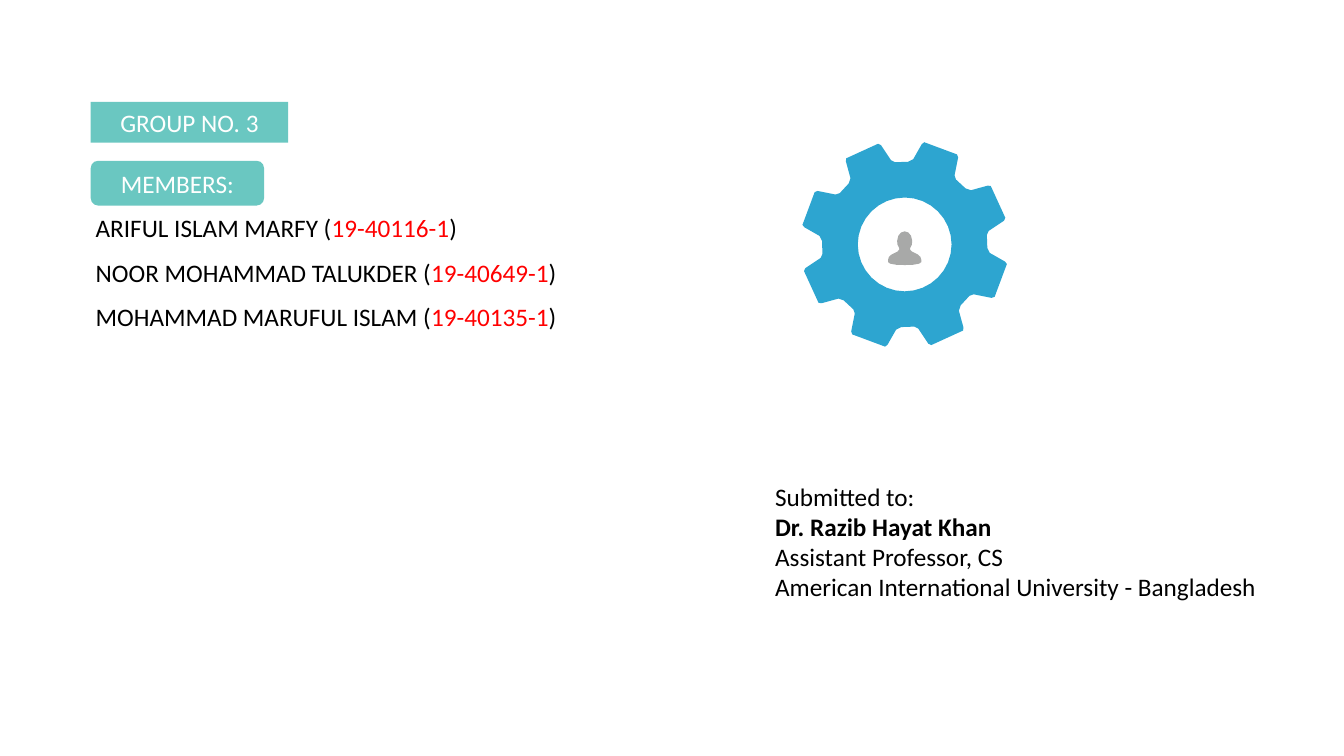
from dataclasses import dataclass
from math import cos, pi, sin

from pptx import Presentation
from pptx.dml.color import RGBColor
from pptx.enum.shapes import MSO_SHAPE
from pptx.enum.text import MSO_ANCHOR, MSO_AUTO_SIZE, PP_ALIGN
from pptx.util import Pt


@dataclass(frozen=True)
class Theme:
    font: str = "Calibri"
    size: int = 36
    teal: str = "6AC7C1"
    blue: str = "2DA5D0"
    grey: str = "A8A9A8"
    white: str = "FEFFFE"
    black: str = "000000"
    red: str = "FF0000"
    inset: float = 7.2


theme = Theme()

# Content
LEFT = 129.6
LINE_HEIGHT = 58.3
LABELS = [
    ("GROUP NO. 3", MSO_SHAPE.RECTANGLE, 145.4, 282.2, LINE_HEIGHT),
    ("MEMBERS:", MSO_SHAPE.ROUNDED_RECTANGLE, 229.7, 247.7, 64),
]
MEMBERS = [
    ("ARIFUL ISLAM MARFY", "19-40116-1", 576),
    ("NOOR MOHAMMAD TALUKDER", "19-40649-1", 799.2),
    ("MOHAMMAD MARUFUL ISLAM", "19-40135-1", 748.1),
]
SUBMITTED_TO = [
    ("Submitted to:", False),
    ("Dr. Razib Hayat Khan", True),
    ("Assistant Professor, CS", False),
    ("American International University - Bangladesh", False),
]

# Layout, in points
MEMBERS_TOP, MEMBER_STEP = 296.6, 63.4
GEAR_CENTER = (1292.4, 349.2)
HOLE_RADIUS, HOLE_STEPS = 67, 32
TEETH = 8
# One tooth gap, relative to the gear centre
TOOTH = [(28, -146), (24.5, -143.3), (12.2, -121.7), (5, -118.1),
         (-13.7, -117.4), (-19.4, -120.2), (-33.8, -141.8), (-38, -143.8)]
# Right half of the person, from head to base
PERSON = [(0, -18.7), (5.2, -17), (9, -12.5), (10.8, -5), (10.2, 0.5),
          (7.9, 5), (7.5, 7), (10.1, 10.1), (18.7, 14.4), (22.5, 17.8),
          (23.8, 22.3), (23.8, 25.2), (20.8, 27.5), (12, 29.1), (0, 29.5)]


def paint(shape, color):
    shape.shadow.inherit = False
    shape.fill.solid()
    shape.fill.fore_color.rgb = RGBColor.from_string(color)
    shape.line.fill.background()


def write(box, paragraphs, align=PP_ALIGN.LEFT, anchor=MSO_ANCHOR.TOP):
    frame = box.text_frame
    frame.word_wrap = True
    frame.auto_size = MSO_AUTO_SIZE.SHAPE_TO_FIT_TEXT
    frame.vertical_anchor = anchor
    frame.margin_left = frame.margin_right = Pt(theme.inset)
    frame.margin_top = frame.margin_bottom = Pt(theme.inset)
    for index, spans in enumerate(paragraphs):
        para = frame.add_paragraph() if index else frame.paragraphs[0]
        para.alignment = align
        for text, color, bold in spans:
            span = para.add_run()
            span.text = text
            span.font.name = theme.font
            span.font.size = Pt(theme.size)
            span.font.bold = bold
            span.font.color.rgb = RGBColor.from_string(color)


def add_outline(contours, color):
    center_x, center_y = GEAR_CENTER
    placed = [[(Pt(center_x + x), Pt(center_y + y)) for x, y in contour]
              for contour in contours]
    builder = page.shapes.build_freeform(*placed[0][0], scale=1.0)
    for index, contour in enumerate(placed):
        if index:
            builder.move_to(*contour[0])
        builder.add_line_segments(contour[1:], close=True)
    paint(builder.convert_to_shape(), color)


def turn(point, angle):
    x, y = point
    return x * cos(angle) + y * sin(angle), y * cos(angle) - x * sin(angle)


deck = Presentation()
deck.slide_width, deck.slide_height = Pt(1920), Pt(1080)
page = deck.slides.add_slide(deck.slide_layouts[6])

# Labels
for text, preset, top, width, height in LABELS:
    label = page.shapes.add_shape(preset, Pt(LEFT), Pt(top), Pt(width), Pt(height))
    paint(label, theme.teal)
    write(label, [[(text, theme.white, False)]], PP_ALIGN.CENTER, MSO_ANCHOR.MIDDLE)

# Members
for row, (name, number, width) in enumerate(MEMBERS):
    box = page.shapes.add_textbox(
        Pt(LEFT), Pt(MEMBERS_TOP + row * MEMBER_STEP), Pt(width), Pt(LINE_HEIGHT))
    write(box, [[(f"{name} (", theme.black, False), (number, theme.red, False),
                 (")", theme.black, False)]])

# Submission details
box = page.shapes.add_textbox(Pt(1100.2), Pt(679.7), Pt(707), Pt(189.4))
write(box, [[(text, theme.black, bold)] for text, bold in SUBMITTED_TO])

# Gear with a round hole, and the person inside
gear = [turn(point, tooth * 2 * pi / TEETH)
        for tooth in range(TEETH) for point in TOOTH]
hole = [turn((HOLE_RADIUS, 0), -step * 2 * pi / HOLE_STEPS)
        for step in range(HOLE_STEPS)]
add_outline([gear, hole], theme.blue)
mirrored = [(-x, y) for x, y in reversed(PERSON[1:-1])]
add_outline([PERSON + mirrored], theme.grey)

deck.save("out.pptx")
